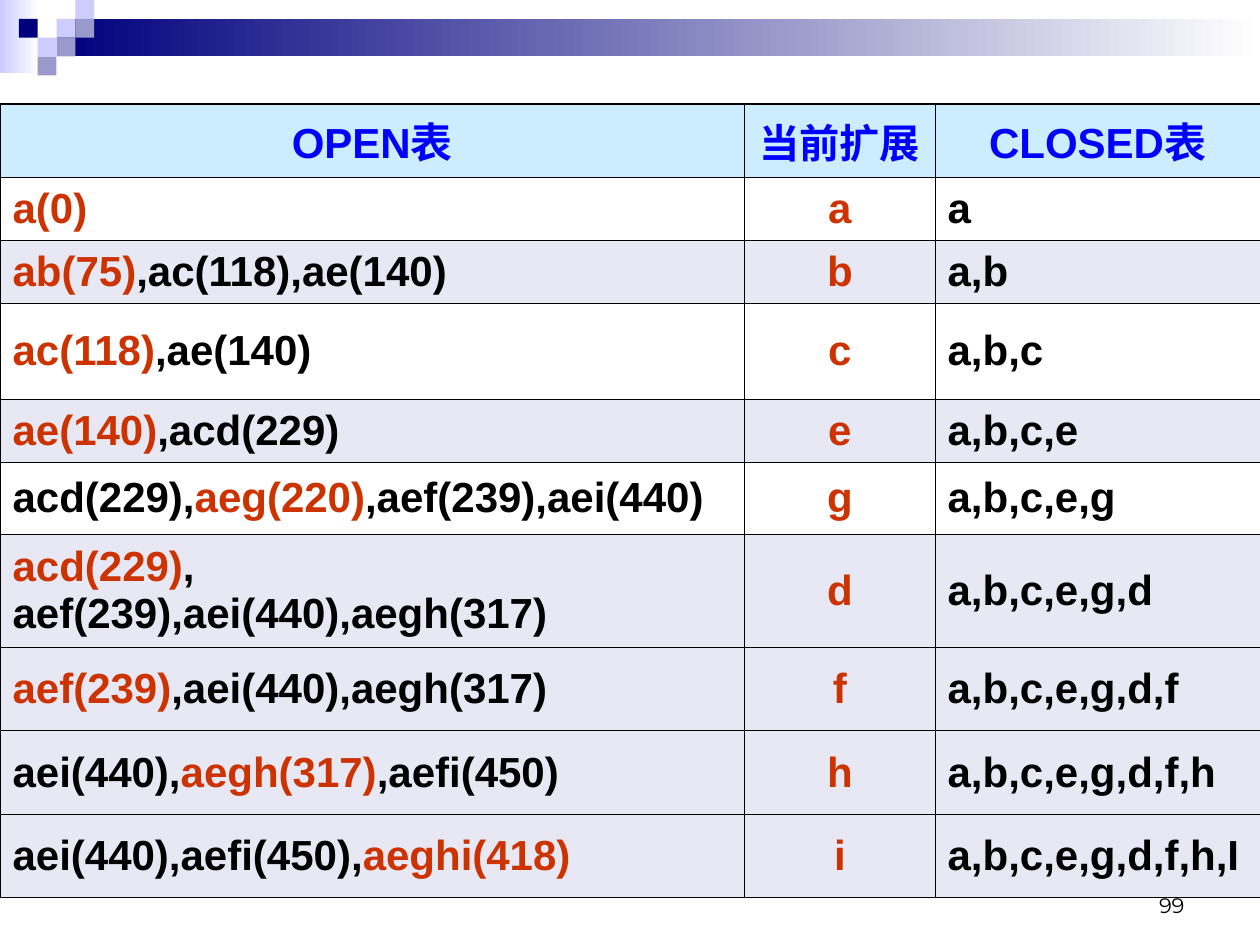
from lxml.etree import SubElement
from pptx import Presentation
from pptx.dml.color import RGBColor
from pptx.enum.shapes import MSO_SHAPE
from pptx.enum.text import MSO_ANCHOR, PP_ALIGN
from pptx.oxml.ns import qn
from pptx.util import Cm, Pt


def color(value):
    return RGBColor.from_string(value)


def write(paragraph, text, size=24, font="Arial", fill="000000", bold=True, align=PP_ALIGN.LEFT):
    paragraph.alignment = align
    run = paragraph.add_run()
    run.text = text
    run.font.size = Pt(size)
    run.font.name = font
    run.font.bold = bold
    run.font.color.rgb = color(fill)


NAVY, LILAC, GREY_BLUE = "00007D", "CCCCFF", "9999CC"
BLUE, RED, BLACK = "0000FF", "CC3300", "000000"
HEADER_FILL, BAND_FILL = "CCECFF", "E8E8F4"

presentation = Presentation()
presentation.slide_width = Cm(25.4)
presentation.slide_height = Cm(19.05)
slide = presentation.slides.add_slide(presentation.slide_layouts[6])

side = 0.38
decorations = [
    (0, 0, 0.79, 1.47, [LILAC, "FFFFFF"]),
    (1.14, side, 24.26, 0.76, [NAVY, "FFFFFF"]),
]
squares = [
    (3, 1, LILAC), (4, 0, LILAC), (4, 1, GREY_BLUE), (2, 2, LILAC),
    (1, 1, NAVY), (3, 2, GREY_BLUE), (2, 3, GREY_BLUE),
]
for column, row, fill in squares:
    decorations.append((column * side, row * side, side, side, [fill]))

for left, top, width, height, fills in decorations:
    shape = slide.shapes.add_shape(MSO_SHAPE.RECTANGLE, Cm(left), Cm(top), Cm(width), Cm(height))
    shape.shadow.inherit = False
    shape.line.fill.background()
    if len(fills) == 1:
        shape.fill.solid()
        shape.fill.fore_color.rgb = color(fills[0])
    else:
        shape.fill.gradient()
        shape.fill.gradient_angle = 0
        for stop, fill in zip(shape.fill.gradient_stops, fills):
            stop.color.rgb = color(fill)

# Text between asterisks is the node being expanded.
rows = [
    ("OPEN表", "当前扩展", "CLOSED表"),
    ("*a(0)*", "*a*", "a"),
    ("*ab(75)*,ac(118),ae(140)", "*b*", "a,b"),
    ("*ac(118)*,ae(140)", "*c*", "a,b,c"),
    ("*ae(140)*,acd(229)", "*e*", "a,b,c,e"),
    ("acd(229),*aeg(220)*,aef(239),aei(440)", "*g*", "a,b,c,e,g"),
    ("*acd(229)*, aef(239),aei(440),aegh(317)", "*d*", "a,b,c,e,g,d"),
    ("*aef(239)*,aei(440),aegh(317)", "*f*", "a,b,c,e,g,d,f"),
    ("aei(440),*aegh(317)*,aefi(450)", "*h*", "a,b,c,e,g,d,f,h"),
    ("aei(440),aefi(450),*aeghi(418)*", "*i*", "a,b,c,e,g,d,f,h,I"),
]
column_widths = [15.01, 3.84, 6.55]
row_heights = [1.47, 1.27, 1.27, 1.93, 1.27, 1.45, 2.29, 1.68, 1.68, 1.68]
banded_rows = {2, 4, 6, 7, 8, 9}
last_row = len(rows) - 1

frame = slide.shapes.add_table(
    len(rows), 3, Cm(0), Cm(2.09), Cm(sum(column_widths)), Cm(sum(row_heights))
)
table = frame.table
for column, width in zip(table.columns, column_widths):
    column.width = Cm(width)

for row_index, texts in enumerate(rows):
    table.rows[row_index].height = Cm(row_heights[row_index])
    for column_index, text in enumerate(texts):
        cell = table.cell(row_index, column_index)
        cell.vertical_anchor = MSO_ANCHOR.MIDDLE
        properties = cell._tc.get_or_add_tcPr()
        for edge in ("lnL", "lnR", "lnT", "lnB"):
            outer = (edge, row_index) in (("lnT", 0), ("lnB", last_row))
            border = SubElement(properties, qn(f"a:{edge}"), w=str(Pt(1.08 if outer else 0.45)))
            border_fill = SubElement(border, qn("a:solidFill"))
            SubElement(border_fill, qn("a:srgbClr"), val=BLACK)
        if row_index == 0 or row_index in banded_rows:
            cell.fill.solid()
            cell.fill.fore_color.rgb = color(BAND_FILL if row_index else HEADER_FILL)
        else:
            cell.fill.background()

        centered = row_index == 0 or column_index == 1
        for part_index, part in enumerate(text.split("*")):
            if part:
                write(
                    cell.text_frame.paragraphs[0],
                    part,
                    size=23 if (row_index, column_index) == (0, 1) else 24,
                    fill=BLUE if row_index == 0 else RED if part_index % 2 else BLACK,
                    align=PP_ALIGN.CENTER if centered else PP_ALIGN.LEFT,
                )

number_box = slide.shapes.add_textbox(Cm(18.21), Cm(17.35), Cm(5.92), Cm(1.27))
number_box.text_frame.word_wrap = True
number_box.text_frame.vertical_anchor = MSO_ANCHOR.BOTTOM
write(
    number_box.text_frame.paragraphs[0], "99",
    size=12, font="Montserrat", bold=False, align=PP_ALIGN.RIGHT,
)

presentation.save("out.pptx")
